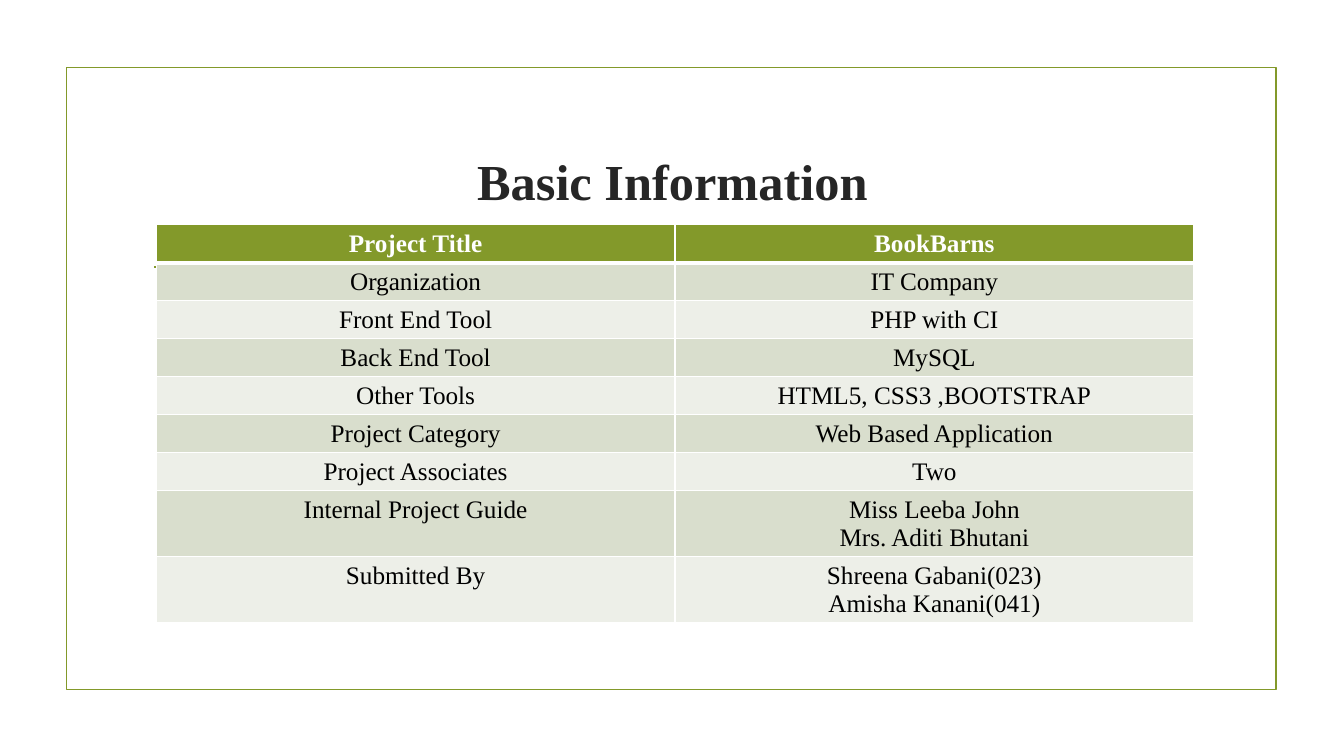
from dataclasses import dataclass

from lxml import etree
from pptx import Presentation
from pptx import util as u
from pptx.dml.color import RGBColor
from pptx.enum import shapes, text
from pptx.oxml.ns import qn

SLIDE_WIDTH, SLIDE_HEIGHT = u.Inches(13.33), u.Inches(7.5)
FONT = "Times New Roman"
OLIVE = RGBColor(0x83, 0x99, 0x2A)
CHARCOAL = RGBColor(0x26, 0x26, 0x26)
BLACK = RGBColor(0, 0, 0)
WHITE = RGBColor(0xFF, 0xFF, 0xFF)
BANDS = (RGBColor(0xED, 0xEF, 0xE8), RGBColor(0xD9, 0xDE, 0xCD))
HEADER_HEIGHT, FIRST_LINE_HEIGHT, EXTRA_LINE_HEIGHT = 0.33, 0.35, 0.27


@dataclass(frozen=True)
class Area:
    """A rectangle in shares of the slide's width and height."""
    left: float
    top: float
    width: float
    height: float

    def lengths(self) -> tuple[int, int, int, int]:
        return (int(self.left * SLIDE_WIDTH), int(self.top * SLIDE_HEIGHT),
                int(self.width * SLIDE_WIDTH), int(self.height * SLIDE_HEIGHT))


@dataclass(frozen=True)
class Fact:
    label: str
    values: tuple[str, ...]


FRAME = Area(0.66 / 13.33, 0.67 / 7.5, 12 / 13.33, 6.17 / 7.5)
RULE = Area(1.53 / 13.33, 2.65 / 7.5, 10.28 / 13.33, 0)
TITLE = Area(1.42 / 13.33, 1.07 / 7.5, 10.5 / 13.33, 1.43 / 7.5)
TABLE = Area(1.55 / 13.33, 2.23 / 7.5, 10.29 / 13.33, 4.2 / 7.5)

FACTS = (
    Fact("Project Title", ("BookBarns",)),
    Fact("Organization", ("IT Company",)),
    Fact("Front End Tool", ("PHP with CI",)),
    Fact("Back End Tool", ("MySQL",)),
    Fact("Other Tools", ("HTML5, CSS3 ,BOOTSTRAP",)),
    Fact("Project Category", ("Web Based Application",)),
    Fact("Project Associates", ("Two",)),
    Fact("Internal Project Guide", ("Miss Leeba John", "Mrs. Aditi Bhutani")),
    Fact("Submitted By", ("Shreena Gabani(023)", "Amisha Kanani(041)")),
)


def write_lines(frame, lines: tuple[str, ...], size: float, color: RGBColor, bold: bool) -> None:
    for index, line in enumerate(lines):
        para = frame.add_paragraph() if index else frame.paragraphs[0]
        para.alignment = text.PP_ALIGN.CENTER
        span = para.add_run()
        span.text = line
        span.font.name = FONT
        span.font.size = u.Pt(size)
        span.font.bold = bold
        span.font.color.rgb = color


def add_title(page) -> None:
    box = page.shapes.title
    box.left, box.top, box.width, box.height = TITLE.lengths()
    box.text_frame.vertical_anchor = text.MSO_ANCHOR.MIDDLE
    write_lines(box.text_frame, ("Basic Information",), 36, CHARCOAL, True)


def add_frame(page) -> None:
    frame = page.shapes.add_shape(shapes.MSO_SHAPE.RECTANGLE, *FRAME.lengths())
    frame.shadow.inherit = False
    frame.fill.background()
    frame.line.color.rgb = OLIVE
    frame.line.width = u.Pt(1.25)


def add_rule(page) -> None:
    left, top, width, height = RULE.lengths()
    rule = page.shapes.add_connector(
        shapes.MSO_CONNECTOR.STRAIGHT, left, top, left + width, top + height)
    rule.line.color.rgb = OLIVE
    rule.line.width = u.Pt(1.25)
    etree.SubElement(rule._element.spPr, qn("a:effectLst"))


def set_borders(cell, top: float, bottom: float) -> None:
    """Give the cell white borders; widths are in points, the sides are 1."""
    properties = cell._tc.get_or_add_tcPr()
    widths = {"a:lnL": 1, "a:lnR": 1, "a:lnT": top, "a:lnB": bottom}
    for index, (tag, width) in enumerate(widths.items()):
        line = etree.Element(qn(tag), w=str(u.Pt(width)))
        fill = etree.SubElement(line, qn("a:solidFill"))
        etree.SubElement(fill, qn("a:srgbClr"), val=str(WHITE))
        properties.insert(index, line)


def add_facts_table(page) -> None:
    table = page.shapes.add_table(len(FACTS), 2, *TABLE.lengths()).table
    for row, fact in enumerate(FACTS):
        header = row == 0
        table.rows[row].height = u.Inches(
            HEADER_HEIGHT if header
            else FIRST_LINE_HEIGHT + EXTRA_LINE_HEIGHT * (len(fact.values) - 1))
        for column, lines in enumerate(((fact.label,), fact.values)):
            cell = table.cell(row, column)
            cell.fill.solid()
            cell.fill.fore_color.rgb = OLIVE if header else BANDS[row % 2]
            set_borders(cell, top=3 if row == 1 else 1, bottom=3 if header else 1)
            write_lines(cell.text_frame, lines, 18, WHITE if header else BLACK, header)


def main() -> None:
    deck = Presentation()
    deck.slide_width, deck.slide_height = SLIDE_WIDTH, SLIDE_HEIGHT
    page = deck.slides.add_slide(deck.slide_layouts.get_by_name("Title Only"))
    add_frame(page)
    add_rule(page)
    add_title(page)
    add_facts_table(page)
    deck.save("out.pptx")


if __name__ == "__main__":
    main()
